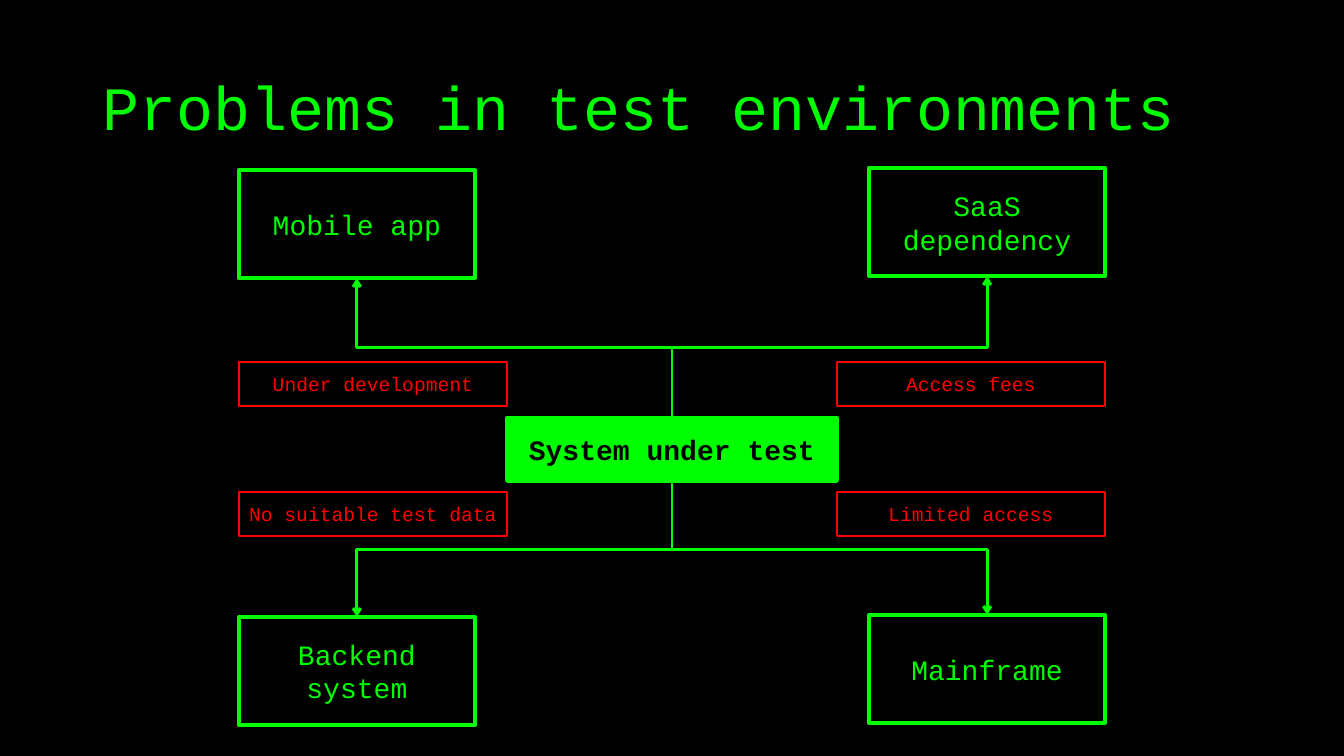
from lxml import etree
from pptx import Presentation
from pptx.dml.color import RGBColor
from pptx.enum.shapes import MSO_CONNECTOR as CONN, MSO_SHAPE as SHAPE
from pptx.enum.text import MSO_ANCHOR as ANCHOR, MSO_AUTO_SIZE as AUTO, PP_ALIGN as ALIGN
from pptx.oxml.ns import qn
from pptx.util import Inches, Pt

COLORS = {"back": "000000", "green": "00FF00", "red": "FF0000"}
FONT = "Courier New"
TOP, BOTTOM = 0, 2  # connection sites of a rectangle


def rgb(name):
    return RGBColor.from_string(COLORS[name])


def write_text(tf, text, size, color, bold=False, align=ALIGN.CENTER, spacing=None):
    tf.word_wrap = True
    tf.vertical_anchor = ANCHOR.MIDDLE
    p = tf.paragraphs[0]
    p.alignment = align
    if spacing:
        p.line_spacing = spacing
    r = p.add_run()
    r.text = text
    r.font.name = FONT
    r.font.size = Pt(size)
    r.font.bold = bold
    r.font.color.rgb = rgb(color)


def add_title(s, text):
    title = s.shapes.title
    title.left, title.top = Inches(0.92), Inches(0.37)
    title.width, title.height = Inches(11.5), Inches(1.45)
    title.text_frame.auto_size = AUTO.NONE
    write_text(title.text_frame, text, 44, "green", align=ALIGN.LEFT, spacing=0.9)


def add_box(s, text, x, y, w, h, line="green", weight=3, fill=None, **text_format):
    sp = s.shapes.add_shape(SHAPE.RECTANGLE, Inches(x), Inches(y), Inches(w), Inches(h))
    sp.shadow.inherit = False
    if fill:
        sp.fill.solid()
        sp.fill.fore_color.rgb = rgb(fill)
    else:
        sp.fill.background()
    sp.line.color.rgb = rgb(line)
    sp.line.width = Pt(weight)
    write_text(sp.text_frame, text, **text_format)
    return sp


def add_elbow(s, start, end, bend_y):
    """Arrow that leaves start vertically, turns at bend_y and reaches end vertically."""
    up = end.top < start.top
    right = end.left > start.left
    x1, x2 = start.left + start.width // 2, end.left + end.width // 2
    y1 = start.top if up else start.top + start.height
    y2 = end.top + end.height if up else end.top
    c = s.shapes.add_connector(CONN.ELBOW, x1, y1, x2, y2)
    c.begin_connect(start, TOP if up else BOTTOM)
    c.end_connect(end, BOTTOM if up else TOP)

    # A vertical exit needs the frame turned by a quarter
    c.width, c.height = abs(y2 - y1), abs(x2 - x1)
    c.left, c.top = (x1 + x2 - c.width) // 2, (y1 + y2 - c.height) // 2
    xfrm = c._element.spPr.find(qn("a:xfrm"))
    xfrm.set("rot", str((90 if up == right else 270) * 60000))
    xfrm.set("flipH", str(int(right)))
    xfrm.set("flipV", str(int(up)))
    bend = round((Inches(bend_y) - y1) / (y2 - y1) * 100000)
    guides = c._element.spPr.find(qn("a:prstGeom")).find(qn("a:avLst"))
    etree.SubElement(guides, qn("a:gd"), name="adj1", fmla=f"val {bend}")

    c.line.color.rgb = rgb("green")
    c.line.width = Pt(2)
    etree.SubElement(c.line._get_or_add_ln(), qn("a:tailEnd"), type="arrow")
    etree.SubElement(c._element.spPr, qn("a:effectLst"))


def main():
    prs = Presentation()
    prs.slide_width, prs.slide_height = Inches(13.33), Inches(7.5)
    s = prs.slides.add_slide(prs.slide_layouts[5])
    s.background.fill.solid()
    s.background.fill.fore_color.rgb = rgb("back")
    add_title(s, "Problems in test environments")

    # System in the centre
    system = add_box(s, "System under test", 5.03, 4.15, 3.27, 0.62,
                     fill="green", size=20, color="back", bold=True)

    # Dependencies, each with its arrow
    for text, x, y, bend_y in [
        ("Mainframe", 8.62, 6.1, 5.45),
        ("SaaS dependency", 8.62, 1.67, 3.45),
        ("Backend system", 2.37, 6.12, 5.45),
        ("Mobile app", 2.37, 1.69, 3.45),
    ]:
        box = add_box(s, text, x, y, 2.34, 1.07, size=20, color="green")
        add_elbow(s, system, box, bend_y)

    # Problems
    for text, x, y in [
        ("No suitable test data", 2.37, 4.88),
        ("Limited access", 8.3, 4.88),
        ("Under development", 2.37, 3.59),
        ("Access fees", 8.3, 3.59),
    ]:
        add_box(s, text, x, y, 2.66, 0.44, line="red", weight=1, size=14, color="red")

    prs.save("out.pptx")


if __name__ == "__main__":
    main()
